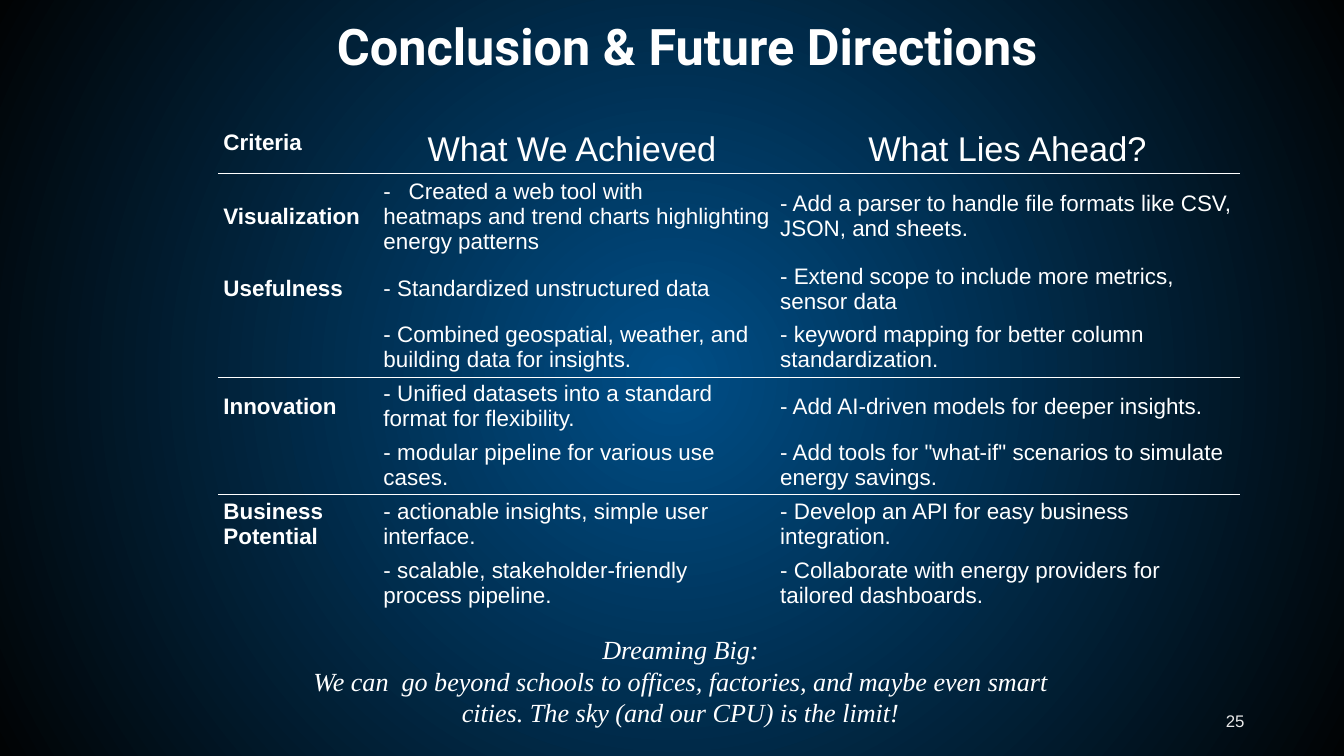
from lxml import etree
from pptx import Presentation
from pptx.dml.color import RGBColor
from pptx.enum import text
from pptx.oxml import ns
from pptx.util import Pt

TITLE = "Conclusion & Future Directions"
HEADERS = ["Criteria", "What We Achieved ", "What Lies Ahead?"]
ROWS = [
    ("Visualization",
     ["Created a web tool with", "heatmaps and trend charts highlighting energy patterns"],
     "- Add a parser to handle file formats like CSV, JSON, and sheets."),
    ("Usefulness", "- Standardized unstructured data",
     "- Extend scope to include more metrics, sensor data"),
    ("", "- Combined geospatial, weather, and building data for insights.",
     "- keyword mapping for better column standardization."),
    ("Innovation", "- Unified datasets into a standard format for flexibility.",
     "- Add AI-driven models for deeper insights."),
    ("", "- modular pipeline for various use cases.",
     '- Add tools for "what-if" scenarios to simulate energy savings.'),
    ("Business Potential", "- actionable insights, simple user interface.",
     "- Develop an API for easy business integration."),
    ("", "- scalable, stakeholder-friendly process pipeline.",
     "- Collaborate with energy providers for tailored dashboards."),
]
CLOSING = [
    "Dreaming Big:",
    "We can  go beyond schools to offices, factories, and maybe even smart cities. "
    "The sky (and our CPU) is the limit!",
]
PAGE = "25"

COLORS = {"center": "004E87", "edge": "010304", "text": "FFFFFF", "page": "E9E9E9"}
COLUMN_WIDTHS = [171.5, 425, 498]
ROW_HEIGHTS = [67, 91] + [62.8] * 6
SECTION_STARTS = [1, 4, 6]
NO_GRID_STYLE = "{2D5ABB26-0587-4C30-8999-92F81FD0307C}"

TITLE_FONT = {"name": "Roboto", "size": Pt(54), "bold": True}
HEADER_FONT = {"name": "Arial", "size": Pt(36.7), "bold": False}
LABEL_FONT = {"name": "Arial", "size": Pt(24), "bold": True}
CELL_FONT = {"name": "Arial", "size": Pt(24), "bold": False}
CLOSING_FONT = {"name": "Times New Roman", "size": Pt(28), "italic": True}
PAGE_FONT = {"name": "Arial", "size": Pt(18)}
CENTERED = {"alignment": text.PP_ALIGN.CENTER}
HEADER_LAYOUT = {"alignment": text.PP_ALIGN.CENTER, "line_spacing": 1.4}
CELL_LAYOUT = {"margin_left": Pt(5.4), "margin_right": Pt(5.4), "margin_top": Pt(2.7),
               "margin_bottom": Pt(2.7), "vertical_anchor": text.MSO_ANCHOR.MIDDLE}


def apply(target, values):
    for name, value in values.items():
        setattr(target, name, value)


def add_element(parent, tag, **attributes):
    return etree.SubElement(parent, ns.qn(tag), attributes)


def write(frame, lines, font, layout, color="text"):
    frame.word_wrap = True
    for index, line in enumerate(lines):
        paragraph = frame.paragraphs[0] if index == 0 else frame.add_paragraph()
        run = paragraph.add_run()
        run.text = line
        apply(paragraph, layout)
        apply(run.font, font)
        run.font.color.rgb = RGBColor.from_string(COLORS[color])


def place(shape, left, top, width, height):
    apply(shape, {"left": Pt(left), "top": Pt(top), "width": Pt(width), "height": Pt(height)})


def paint_background(slide):
    fill = slide.background.fill
    fill.gradient()
    for stop, name in zip(fill.gradient_stops, ["center", "edge"]):
        stop.color.rgb = RGBColor.from_string(COLORS[name])
    gradient = slide.element.find(".//" + ns.qn("a:gradFill"))
    gradient.remove(gradient.find(ns.qn("a:lin")))
    circle = add_element(gradient, "a:path", path="circle")
    add_element(circle, "a:fillToRect", l="50000", t="50000", r="50000", b="50000")


def set_border(cell, side, visible):
    properties = cell._tc.get_or_add_tcPr()
    line = add_element(properties, side, w=str(Pt(1)))
    if visible:
        solid = add_element(line, "a:solidFill")
        add_element(solid, "a:srgbClr", val=COLORS["text"])
    else:
        add_element(line, "a:noFill")
    properties.insert(0, line)


def add_dash_bullet(paragraph):
    properties = paragraph._p.get_or_add_pPr()
    properties.set("marL", str(Pt(27)))
    properties.set("indent", str(-Pt(27)))
    color = add_element(properties, "a:buClr")
    add_element(color, "a:srgbClr", val=COLORS["text"])
    add_element(properties, "a:buFont", typeface=CELL_FONT["name"])
    add_element(properties, "a:buChar", char="-")


def add_criteria_table(slide):
    grid = [HEADERS] + ROWS
    frame = slide.shapes.add_table(len(grid), len(HEADERS), Pt(234), Pt(119),
                                   Pt(sum(COLUMN_WIDTHS)), Pt(sum(ROW_HEIGHTS)))
    table = frame.table
    table._tbl.tblPr.find(ns.qn("a:tableStyleId")).text = NO_GRID_STYLE
    apply(table, {"first_row": False, "horz_banding": False})
    for column, width in zip(table.columns, COLUMN_WIDTHS):
        column.width = Pt(width)
    for row, height in zip(table.rows, ROW_HEIGHTS):
        row.height = Pt(height)
    for row_index, values in enumerate(grid):
        for column_index, value in enumerate(values):
            cell = table.cell(row_index, column_index)
            apply(cell, CELL_LAYOUT)
            cell.fill.background()
            set_border(cell, "a:lnB", row_index + 1 in SECTION_STARTS)
            set_border(cell, "a:lnT", row_index in SECTION_STARTS)
            if not value:
                continue
            is_header = row_index == 0 and column_index > 0
            font = LABEL_FONT if column_index == 0 else HEADER_FONT if is_header else CELL_FONT
            lines = value if isinstance(value, list) else [value]
            write(cell.text_frame, lines, font, HEADER_LAYOUT if is_header else {})
            if len(lines) > 1:
                add_dash_bullet(cell.text_frame.paragraphs[0])


def main():
    presentation = Presentation()
    apply(presentation, {"slide_width": Pt(1440), "slide_height": Pt(810)})
    slide = presentation.slides.add_slide(presentation.slide_layouts[5])
    paint_background(slide)

    title = slide.shapes.title
    place(title, 250, 16.5, 973, 65.5)
    apply(title.text_frame, {"margin_left": 0, "margin_right": 0, "margin_top": 0,
                             "margin_bottom": 0, "vertical_anchor": text.MSO_ANCHOR.TOP,
                             "auto_size": text.MSO_AUTO_SIZE.NONE})
    write(title.text_frame, [TITLE], TITLE_FONT, CENTERED)

    closing = slide.shapes.add_textbox(Pt(304.5), Pt(675.5), Pt(849), Pt(110))
    write(closing.text_frame, CLOSING, CLOSING_FONT, CENTERED)

    add_criteria_table(slide)

    page = slide.shapes.add_textbox(Pt(1016.5), Pt(751), Pt(324), Pt(43))
    page.text_frame.vertical_anchor = text.MSO_ANCHOR.MIDDLE
    write(page.text_frame, [PAGE], PAGE_FONT, {"alignment": text.PP_ALIGN.RIGHT}, "page")

    presentation.save("out.pptx")


if __name__ == "__main__":
    main()
